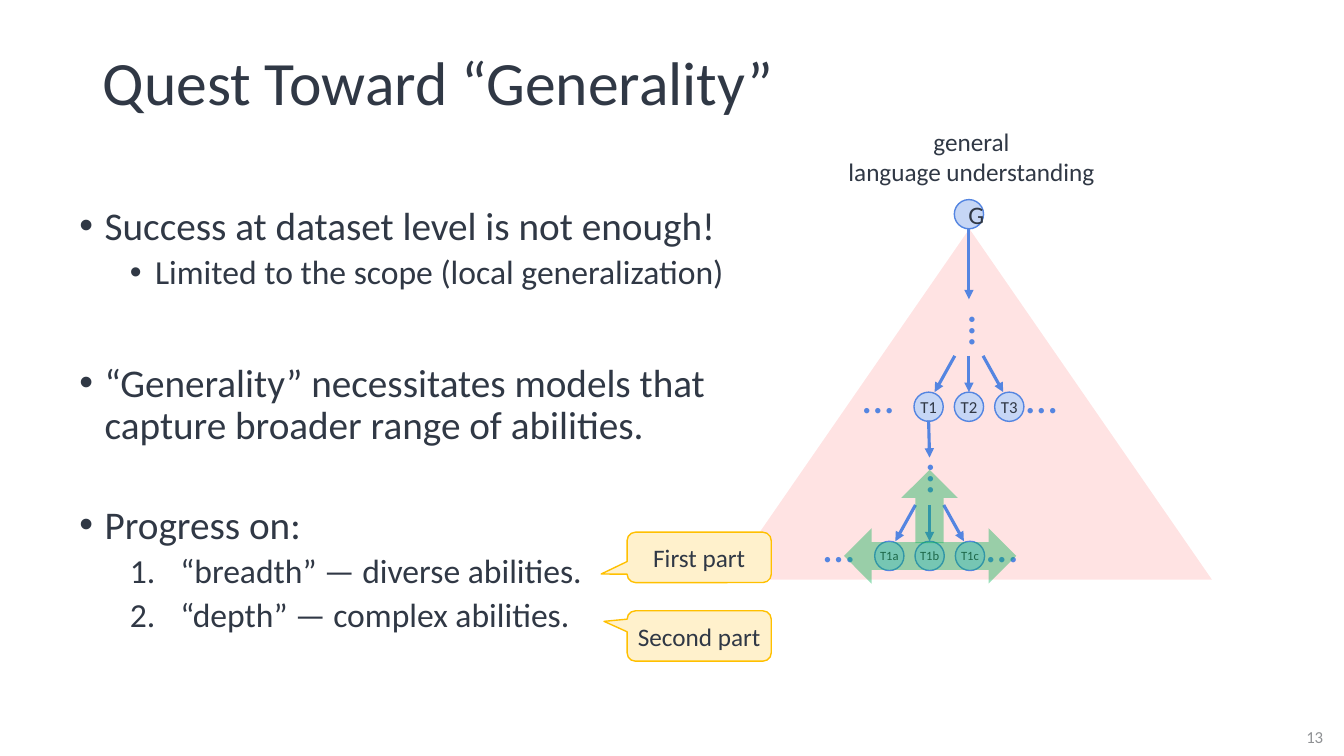
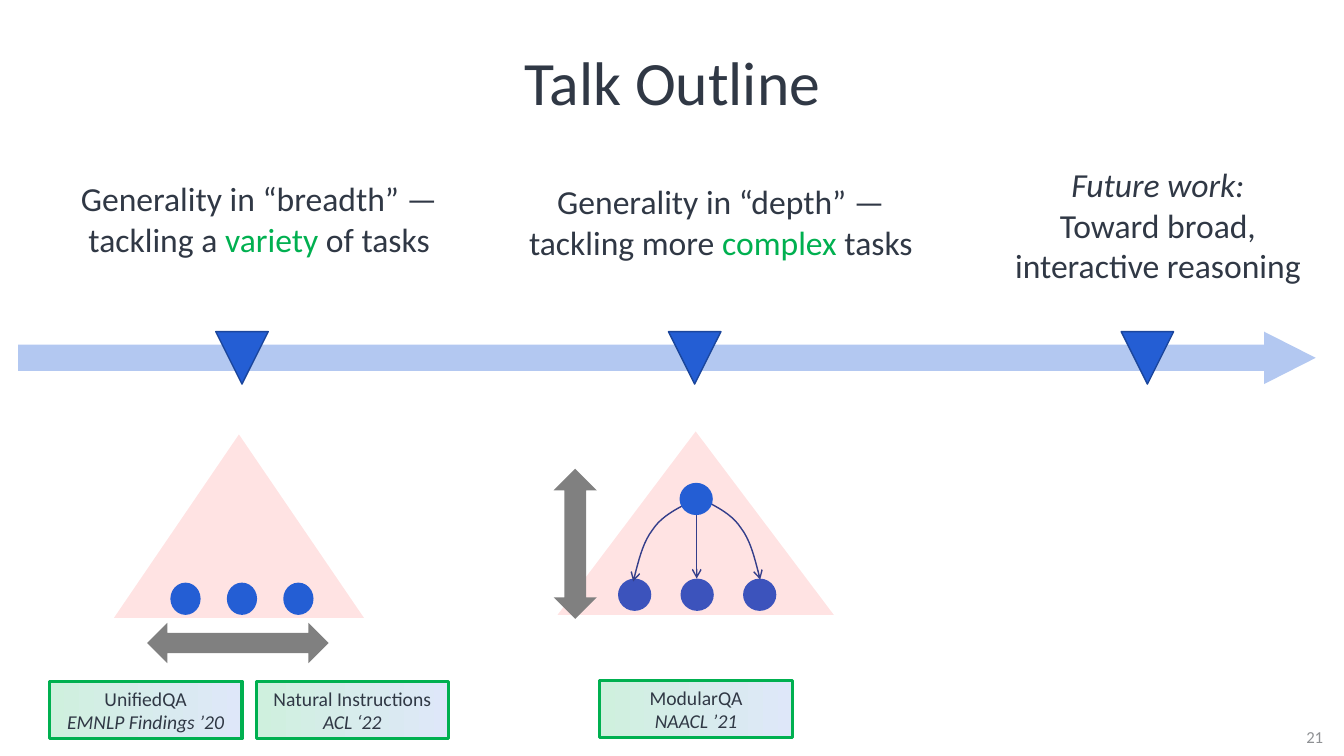
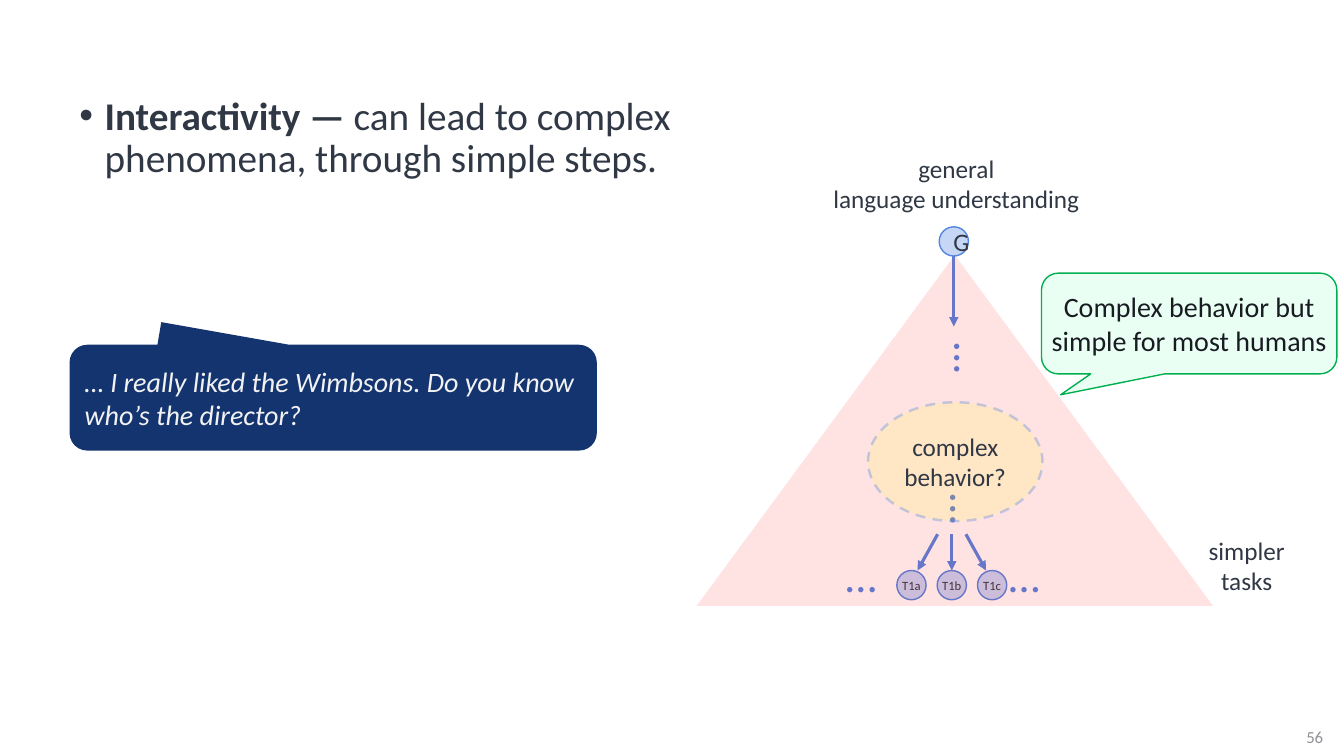
from dataclasses import dataclass

from lxml.etree import SubElement
from pptx import Presentation
from pptx.dml.color import RGBColor
from pptx.enum.dml import MSO_LINE_DASH_STYLE as Dash
from pptx.enum.shapes import MSO_CONNECTOR, MSO_SHAPE as Preset
from pptx.enum.text import MSO_ANCHOR as Anchor, PP_ALIGN as Align
from pptx.oxml.ns import qn
from pptx.util import Inches, Pt

# Shared look
FONT = "Calibri"
INK = RGBColor(0x30, 0x38, 0x45)
DARK_INK = RGBColor(0x18, 0x1C, 0x22)
PAGE_GREY = RGBColor(0x8F, 0x91, 0x94)
RED = RGBColor(0xFF, 0x00, 0x00)
GREEN = RGBColor(0x00, 0xB0, 0x50)
PALE_GREEN = RGBColor(0xEA, 0xFF, 0xF3)
NODE_FILL = RGBColor(0xC6, 0xD6, 0xF5)
NODE_LINE = RGBColor(0x54, 0x85, 0xE1)
BLUE = RGBColor(0x24, 0x5E, 0xD4)
DEEP_BLUE = RGBColor(0x1B, 0x46, 0x9C)
PALE_BLUE = RGBColor(0xB3, 0xC8, 0xF1)
NAVY = RGBColor(0x14, 0x34, 0x70)
GREY = RGBColor(0x80, 0x80, 0x80)
OFF_WHITE = RGBColor(0xF2, 0xF2, 0xF2)
YELLOW = RGBColor(0xFF, 0xFF, 0x00)
CREAM = RGBColor(0xFF, 0xF1, 0xCC)
AMBER = RGBColor(0xFF, 0xC0, 0x00)
MINT_STOP = RGBColor(0xCF, 0xF0, 0xDE)
SKY_STOP = RGBColor(0xDE, 0xE7, 0xF9)

NODE = 0.29
NODE_STEP = 0.4
BRANCH_HEIGHT = 0.36


@dataclass(frozen=True)
class Span:
    text: str
    color: RGBColor | None = None
    bold: bool = False
    italic: bool = False


@dataclass(frozen=True)
class Para:
    spans: tuple[Span, ...]
    size: float | None = None
    before: float = 0
    bullet: str = ""
    margin: float = 0
    hanging: float = 0


@dataclass(frozen=True)
class Paper:
    left: float
    top: float
    name: str
    venue: str


@dataclass(frozen=True)
class Callout:
    box: tuple[float, float, float, float]
    tip: tuple[float, float]
    text: str
    fill: RGBColor
    line: RGBColor | None = None
    color: RGBColor = INK
    size: float = 18
    italic: bool = False
    align: Align = Align.CENTER
    side: float = 0


# Text
def line_para(text: str, **options) -> Para:
    return Para((Span(text),), **options)


def add_bullet(para, item: Para) -> None:
    props = para._p.get_or_add_pPr()
    props.set("marL", str(Inches(item.margin)))
    props.set("indent", str(-Inches(item.hanging)))
    if item.bullet == "1.":
        SubElement(props, qn("a:buAutoNum")).set("type", "arabicPeriod")
    else:
        SubElement(props, qn("a:buFont")).set("typeface", "Arial")
        SubElement(props, qn("a:buChar")).set("char", item.bullet)


def write(shape, text, *, size=18, color=INK, align=Align.CENTER, anchor=Anchor.MIDDLE,
          side=0.1, edge=0.05, spacing=None, italic=False) -> None:
    frame = shape.text_frame
    frame.word_wrap = True
    frame.vertical_anchor = anchor
    frame.margin_left = frame.margin_right = Inches(side)
    frame.margin_top = frame.margin_bottom = Inches(edge)
    items = [line_para(text)] if isinstance(text, str) else text
    for index, item in enumerate(items):
        para = frame.add_paragraph() if index else frame.paragraphs[0]
        para.alignment = align
        if item.bullet:
            add_bullet(para, item)
        if spacing:
            para.line_spacing = spacing
        if item.before:
            para.space_before = Pt(item.before)
        for span in item.spans:
            for number, piece in enumerate(span.text.split("\n")):
                if number:
                    para.add_line_break()
                run = para.add_run()
                run.text = piece
                run.font.name = FONT
                run.font.size = Pt(item.size or size)
                run.font.bold = span.bold
                run.font.italic = span.italic or italic
                run.font.color.rgb = span.color or color


def add_text(page, box, text, **options):
    shape = page.shapes.add_textbox(*map(Inches, box))
    write(shape, text, **{"anchor": Anchor.TOP, **options})
    return shape


# Shapes and lines
def set_alpha(parent, percent: float) -> None:
    color = next(parent.iter(qn("a:srgbClr")))
    SubElement(color, qn("a:alpha")).set("val", str(int(percent * 1000)))


def add_preset(page, kind, box, fill, *, alpha=None, line=None, width=1.0, adjust=()):
    shape = page.shapes.add_shape(kind, *map(Inches, box))
    shape.shadow.inherit = False
    shape.fill.solid()
    shape.fill.fore_color.rgb = fill
    if alpha:
        set_alpha(shape.element.spPr.find(qn("a:solidFill")), alpha)
    if line is None:
        shape.line.fill.background()
    else:
        shape.line.color.rgb = line
        shape.line.width = Pt(width)
    for index, value in enumerate(adjust):
        shape.adjustments[index] = value
    return shape


def style_arrow(shape, color, width, head) -> None:
    shape.line.color.rgb = color
    shape.line.width = Pt(width)
    SubElement(shape.element.spPr.find(qn("a:ln")), qn("a:tailEnd")).set("type", head)


def add_arrow(page, start, end, *, color=NODE_LINE, width=2.25, head="triangle") -> None:
    arrow = page.shapes.add_connector(MSO_CONNECTOR.STRAIGHT, *map(Inches, (*start, *end)))
    style_arrow(arrow, color, width, head)
    SubElement(arrow.element.spPr, qn("a:effectLst"))


def add_curve(page, start, direction) -> None:
    """Draw a falling arc of two cubic curves to the left (-1) or right (1)."""
    offsets = [(0, 0), (0.15, 0.08), (0.3, 0.15), (0.39, 0.29),
               (0.49, 0.42), (0.53, 0.61), (0.58, 0.8)]
    points = [(start[0] + direction * x, start[1] + y) for x, y in offsets]
    traced = []
    for first in (0, 3):
        corners = points[first:first + 4]
        for step in range(1, 11):
            t = step / 10
            weights = ((1 - t) ** 3, 3 * t * (1 - t) ** 2, 3 * t * t * (1 - t), t ** 3)
            traced.append(tuple(Inches(sum(w * corner[axis] for w, corner in zip(weights, corners)))
                                for axis in (0, 1)))
    builder = page.shapes.build_freeform(*map(Inches, start))
    builder.add_line_segments(traced, close=False)
    curve = builder.convert_to_shape()
    curve.shadow.inherit = False
    curve.fill.background()
    style_arrow(curve, DEEP_BLUE, 1, "arrow")


def add_callout(page, item: Callout) -> None:
    shape = add_preset(page, Preset.ROUNDED_RECTANGULAR_CALLOUT, item.box, item.fill,
                       line=item.line, adjust=(*item.tip, 0.167))
    write(shape, item.text, size=item.size, color=item.color, align=item.align,
          side=item.side, italic=item.italic)


def add_cone(page, *box: float) -> None:
    add_preset(page, Preset.ISOSCELES_TRIANGLE, box, RED, alpha=11)


# Task tree
def add_dots(page, x, y, vertical=False) -> None:
    width, height, drop = 0.86, 0.64, 0.14
    x, y = (x - drop, y) if vertical else (x, y - drop)
    box = add_text(page, (x - width / 2, y - height / 2, width, height), "…",
                   size=32, color=NODE_LINE)
    box.rotation = 270 if vertical else 0


def add_node(page, x, top, text, **options) -> None:
    node = add_preset(page, Preset.OVAL, (x - NODE / 2, top, NODE, NODE), NODE_FILL, line=NODE_LINE)
    write(node, text, **options)


def add_root(page, x, top) -> None:
    add_text(page, (x - 1.34, top - 0.78, 2.73, 0.71), "general\nlanguage understanding")
    add_node(page, x, top, "G")
    add_arrow(page, (x, top + NODE), (x, top + 0.99))
    add_dots(page, x + 0.02, top + 1.3, vertical=True)


def add_branch(page, x, top, names, size) -> None:
    row = top + BRANCH_HEIGHT
    for side, name in zip((-1, 0, 1), names):
        add_arrow(page, (x + side * 0.14, top), (x + side * 0.34, row))
        add_node(page, x + side * NODE_STEP, row, name, size=size, side=0, edge=0)
    for offset in (-0.9, 0.72):
        add_dots(page, x + offset, row + 0.18)


# Page parts
def add_page(deck, number: int):
    page = deck.slides.add_slide(deck.slide_layouts[6])
    add_text(page, (12.75, 7.11, 0.58, 0.4), str(number), size=12, color=PAGE_GREY,
             anchor=Anchor.MIDDLE)
    return page


def add_title(page, text, align=Align.LEFT) -> None:
    add_text(page, (0.92, 0.32, 11.5, 1.05), text, size=44, align=align,
             anchor=Anchor.MIDDLE, spacing=0.9)


def add_body(page, top, paras) -> None:
    add_text(page, (0.69, top, 11.73, 4.76), paras, size=28, align=Align.LEFT, spacing=0.9)


def build_generality(deck) -> None:
    page = add_page(deck, 13)
    add_cone(page, 7.21, 2.27, 4.81, 3.48)
    add_title(page, "Quest Toward “Generality”")

    # Tree from general to specific tasks
    add_root(page, 9.61, 1.98)
    add_branch(page, 9.61, 3.53, ("T1", "T2", "T3"), 12)
    add_arrow(page, (9.21, 4.17), (9.22, 4.54))
    add_dots(page, 9.22, 4.75, vertical=True)
    add_branch(page, 9.22, 5.01, ("T1a", "T1b", "T1c"), 9)

    # Bullets
    top_level = dict(bullet="•", margin=0.25, hanging=0.25)
    numbered = dict(size=24, before=5, bullet="1.", margin=1, hanging=0.5)
    add_body(page, 2, [
        line_para("Success at dataset level is not enough!", **top_level),
        line_para("Limited to the scope (local generalization)", size=24, before=5,
                  bullet="•", margin=0.75, hanging=0.25),
        line_para("“Generality” necessitates models that\ncapture broader range of abilities.",
                  before=51, **top_level),
        line_para("Progress on:", before=41, **top_level),
        line_para("“breadth” — diverse abilities.", **numbered),
        line_para("“depth” — complex abilities.", **numbered),
    ])

    # Directions of progress
    add_preset(page, Preset.LEFT_RIGHT_ARROW, (8.37, 5.24, 1.71, 0.55), GREEN, alpha=40)
    add_preset(page, Preset.UP_ARROW, (8.94, 4.66, 0.56, 0.73), GREEN, alpha=40)
    for top, tip, text in ((5.28, (-0.68, 0.33), "First part"),
                           (6.06, (-0.66, -0.29), "Second part")):
        add_callout(page, Callout((6.22, top, 1.43, 0.5), tip, text, CREAM, AMBER))


def add_paper(page, paper: Paper) -> None:
    card = add_preset(page, Preset.RECTANGLE, (paper.left, paper.top, 1.91, 0.57), MINT_STOP,
                      line=GREEN, width=2.25)
    card.fill.gradient()
    card.fill.gradient_angle = 0
    for stop, color in zip(card.fill.gradient_stops, (MINT_STOP, SKY_STOP)):
        stop.color.rgb = color
    write(card, [line_para(paper.name), Para((Span(paper.venue, italic=True),))], size=14)


def build_outline(deck) -> None:
    page = add_page(deck, 21)
    add_title(page, "Talk Outline", Align.CENTER)

    # Timeline
    add_preset(page, Preset.RIGHT_ARROW, (0.18, 3.29, 12.87, 0.52), PALE_BLUE, adjust=(0.5, 0.985))
    for index in range(3):
        add_preset(page, Preset.FLOWCHART_MERGE, (2.14 + 4.49 * index, 3.29, 0.52, 0.52),
                   BLUE, line=DEEP_BLUE)

    # Headings
    for box, lead, accent in (
        ((0.59, 1.72, 3.96, 0.91), "Generality in “breadth” —\ntackling a ", ("variety", " of tasks")),
        ((4.56, 1.75, 5.18, 0.91), "Generality in “depth” —\ntackling more ", ("complex", " tasks")),
    ):
        spans = (Span(lead), Span(accent[0], GREEN), Span(accent[1]))
        add_text(page, box, [Para(spans)], size=24)
    add_text(page, (9.92, 1.58, 3.13, 1.31),
             [Para((Span("Future work:", italic=True),)),
              line_para("Toward broad,\ninteractive reasoning")], size=24)

    # Breadth
    add_cone(page, 1.13, 4.31, 2.48, 1.82)
    for index in range(3):
        add_preset(page, Preset.OVAL, (1.69 + 0.56 * index, 5.78, 0.3, 0.32), BLUE)
    add_preset(page, Preset.LEFT_RIGHT_ARROW, (1.46, 6.18, 1.8, 0.4), GREY)

    # Depth
    for index in range(3):
        add_preset(page, Preset.OVAL, (6.13 + 0.62 * index, 5.74, 0.33, 0.32), BLUE)
    add_curve(page, (6.86, 4.97), -1)
    add_curve(page, (6.96, 4.95), 1)
    add_arrow(page, (6.91, 4.98), (6.91, 5.74), color=DEEP_BLUE, width=1, head="arrow")
    add_cone(page, 5.53, 4.28, 2.74, 1.82)
    add_preset(page, Preset.OVAL, (6.74, 4.79, 0.33, 0.32), BLUE)
    add_preset(page, Preset.UP_DOWN_ARROW, (5.49, 4.65, 0.43, 1.49), GREY)

    # Papers
    for paper in (Paper(0.49, 6.76, "UnifiedQA", "EMNLP Findings ’20"),
                  Paper(2.54, 6.76, "Natural Instructions", "ACL ‘22"),
                  Paper(5.95, 6.75, "ModularQA", "NAACL ’21")):
        add_paper(page, paper)


def build_interactivity(deck) -> None:
    page = add_page(deck, 56)
    spans = (Span("Interactivity — ", bold=True),
             Span("can lead to complex\nphenomena, through simple steps."))
    add_body(page, 0.91, [Para(spans, bullet="•", margin=0.25, hanging=0.25)])

    # Tree under the cone
    add_text(page, (11.5, 5.26, 1.73, 0.71), "simpler\ntasks")
    add_root(page, 9.46, 2.25)
    add_dots(page, 9.44, 5.05, vertical=True)
    add_branch(page, 9.44, 5.3, ("T1a", "T1b", "T1c"), 9)
    add_cone(page, 6.91, 2.53, 5.12, 3.48)

    # Middle level
    middle = add_preset(page, Preset.OVAL, (8.61, 3.99, 1.73, 1.18), YELLOW, alpha=13,
                        line=NODE_LINE, width=1.75)
    middle.line.dash_style = Dash.DASH
    set_alpha(middle.element.spPr.find(qn("a:ln")), 34)
    write(middle, "complex\nbehavior?", side=0)

    # Speech
    add_callout(page, Callout((10.33, 2.71, 2.93, 1), (-0.435, 0.707),
                              "Complex behavior but simple for most humans",
                              PALE_GREEN, GREEN, color=DARK_INK, size=20))
    add_callout(page, Callout((0.69, 3.42, 5.23, 1.05), (-0.326, -0.714),
                              "… I really liked the Wimbsons. Do you know who’s the director?",
                              NAVY, color=OFF_WHITE, size=20, italic=True,
                              align=Align.LEFT, side=0.1))


def main() -> None:
    deck = Presentation()
    deck.slide_width, deck.slide_height = Inches(13.33), Inches(7.5)
    build_generality(deck)
    build_outline(deck)
    build_interactivity(deck)
    deck.save("out.pptx")


if __name__ == "__main__":
    main()
